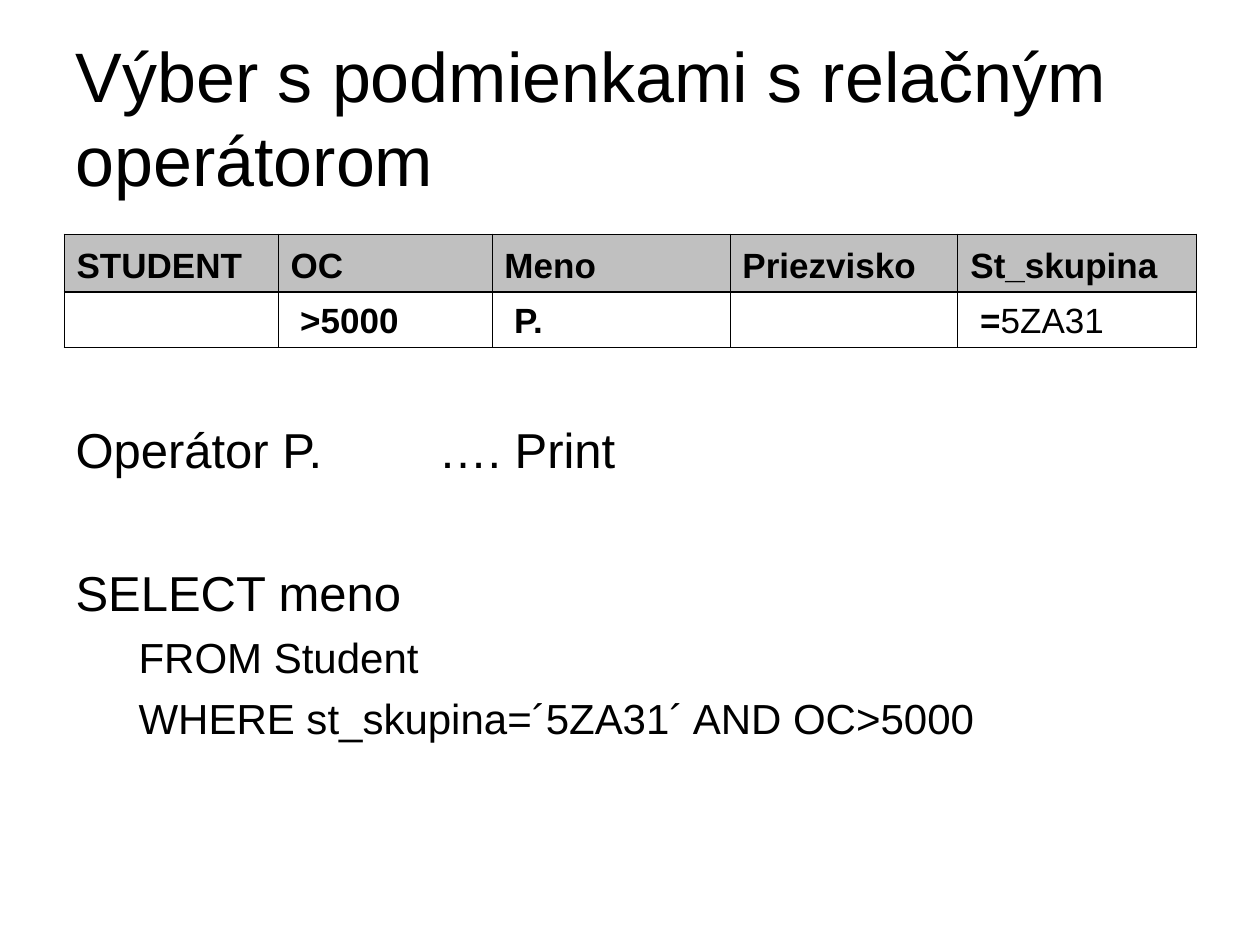
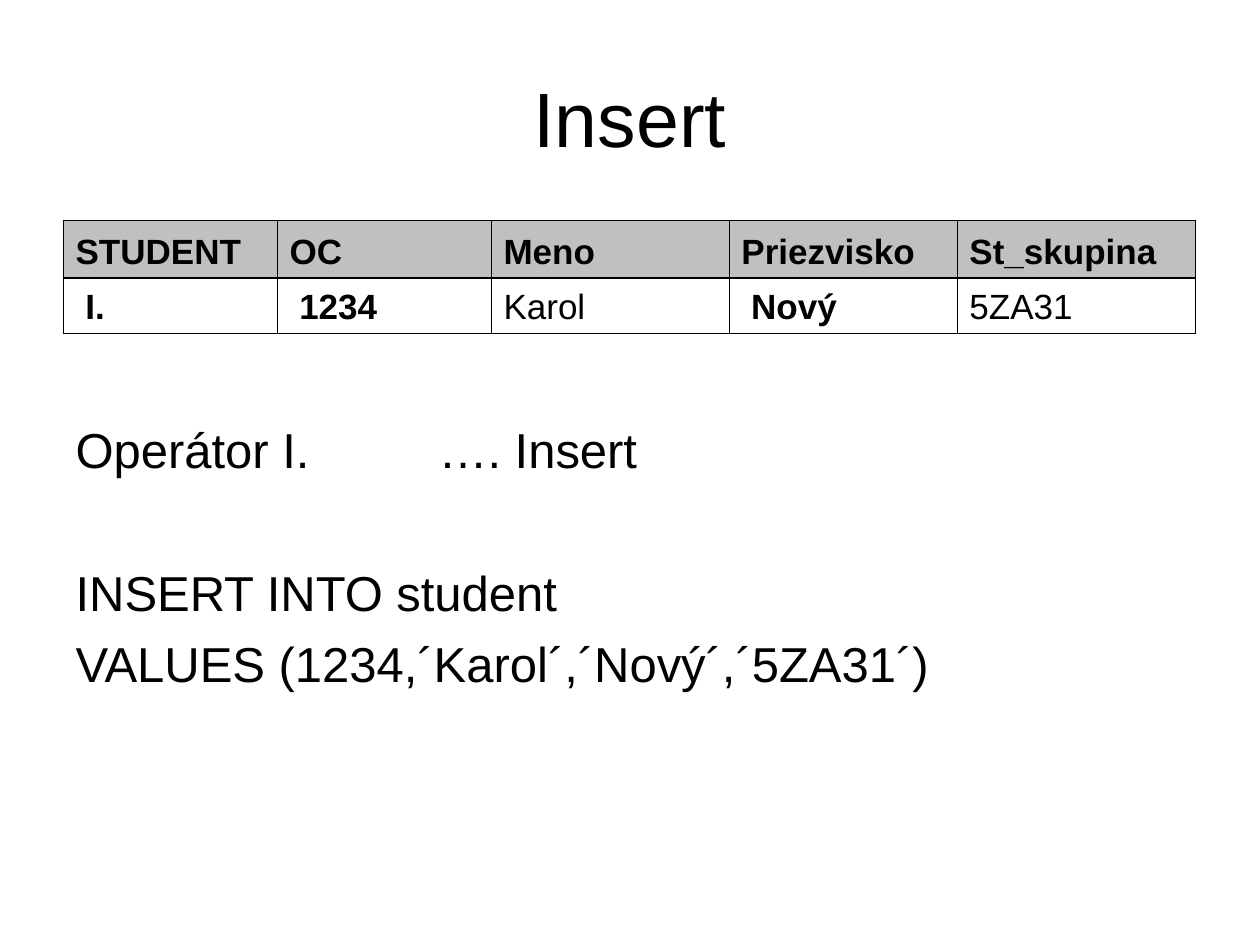
from lxml.etree import SubElement as Sub
from pptx import Presentation
from pptx.dml.color import RGBColor
from pptx.enum.text import MSO_ANCHOR as Anchor, MSO_AUTO_SIZE as Fit, PP_ALIGN as Align
from pptx.oxml.ns import qn
from pptx.util import Emu, Pt

INK = RGBColor(0x00, 0x00, 0x00)
GRAY = RGBColor(0xC0, 0xC0, 0xC0)
FONT = "Arial"
LEAD = 1.2
THIN, RULE = 0.45, 0.96

TITLE = (63, 38, 1134, 158)
BODY = (63, 413, 1134, 476)
COLS = (214, 214, 238, 228, 239)
ROWS = (58, 55)
HEADS = ("STUDENT", "OC", "Meno", "Priezvisko", "St_skupina")
BIG = dict(size=28, left=48, hang=48, stops=(252, 378))
SUB = dict(size=24, left=102, hang=39, level=1, before=6)


def px(n):
    return Emu(round(n * 914400 / 126))


def place(shape, box):
    shape.left, shape.top, shape.width, shape.height = map(px, box)


def write(para, text, size=20, bold=False, align=Align.LEFT, level=0,
          left=0, hang=0, stops=(), before=0, lead=None):
    """Fill a paragraph; text is a string or a list of (string, bold) runs."""
    para.level = level
    props = para._p.get_or_add_pPr()
    props.set("marL", str(px(left)))
    props.set("indent", str(-px(hang)))
    Sub(props, qn("a:buNone"))
    if stops:
        tabs = Sub(props, qn("a:tabLst"))
        for stop in stops:
            Sub(tabs, qn("a:tab"), pos=str(px(stop)), algn="l")
    para.alignment = align
    para.space_before = Pt(before)
    if lead:
        para.line_spacing = Pt(round(size * lead, 1))
    runs = [(text, bold)] if isinstance(text, str) else text
    for part, strong in runs:
        run = para.add_run()
        run.text = part
        font = run.font
        font.name, font.size, font.bold = FONT, Pt(size), strong
        font.color.rgb = INK


def frame(shape, box, anchor):
    place(shape, box)
    text = shape.text_frame
    text.word_wrap = True
    text.auto_size = Fit.NONE
    text.vertical_anchor = anchor
    return text


def head(slide, text, **form):
    area = frame(slide.shapes.title, TITLE, Anchor.MIDDLE)
    write(area.paragraphs[0], text, lead=LEAD, **form)


def body(slide, lines):
    area = frame(slide.placeholders[1], BODY, Anchor.TOP)
    for i, (text, form) in enumerate(lines):
        para = area.add_paragraph() if i else area.paragraphs[0]
        write(para, text, lead=LEAD, **form)


def border(cell, row):
    props = cell._tc.get_or_add_tcPr()
    inner = "B" if row == 0 else "T"
    for i, side in enumerate("LRTB"):
        line = props.makeelement(qn(f"a:ln{side}"), {})
        line.set("w", str(Pt(RULE if side == inner else THIN)))
        fill = Sub(line, qn("a:solidFill"))
        Sub(fill, qn("a:srgbClr"), val=str(INK))
        props.insert(i, line)


def grid(slide, left, top, values):
    """Query table: column heads above one row of conditions or values."""
    shape = slide.shapes.add_table(len(ROWS), len(COLS), px(left), px(top),
                                   px(sum(COLS)), px(sum(ROWS)))
    table = shape.table
    table.first_row = table.horz_banding = False
    for col, wide in zip(table.columns, COLS):
        col.width = px(wide)
    for r, (tall, texts) in enumerate(zip(ROWS, (HEADS, values))):
        table.rows[r].height = px(tall)
        for c, text in enumerate(texts):
            cell = table.cell(r, c)
            cell.vertical_anchor = Anchor.BOTTOM
            cell.margin_left = cell.margin_right = Pt(7.2)
            cell.margin_top = cell.margin_bottom = Pt(3.6)
            if r == 0:
                cell.fill.solid()
                cell.fill.fore_color.rgb = GRAY
            else:
                cell.fill.background()
            border(cell, r)
            if text:
                write(cell.text_frame.paragraphs[0], text, bold=True,
                      left=48, hang=48)


def main():
    deck = Presentation()
    deck.slide_width, deck.slide_height = px(1260), px(945)
    layout = deck.slide_layouts[1]
    gap = dict(BIG, before=48)

    query = deck.slides.add_slide(layout)
    head(query, "Výber s podmienkami s relačným operátorom", size=40)
    grid(query, 64, 234, ("", " >5000", " P.", "",
                          [(" =", True), ("5ZA31", False)]))
    body(query, [
        ("Operátor P. \t\t…. Print", BIG),
        ("SELECT meno", gap),
        ("FROM Student", SUB),
        ("WHERE st_skupina=´5ZA31´ AND OC>5000", SUB),
    ])

    insert = deck.slides.add_slide(layout)
    head(insert, "Insert", size=44, align=Align.CENTER)
    grid(insert, 63, 220, (" I.", " 1234", [("Karol", False)], " Nový",
                           [("5ZA31", False)]))
    body(insert, [
        ("Operátor I. \t\t…. Insert", BIG),
        ("INSERT INTO student", gap),
        ("VALUES (1234,´Karol´,´Nový´,´5ZA31´)", dict(BIG, before=7)),
    ])
    deck.save("out.pptx")


if __name__ == "__main__":
    main()
